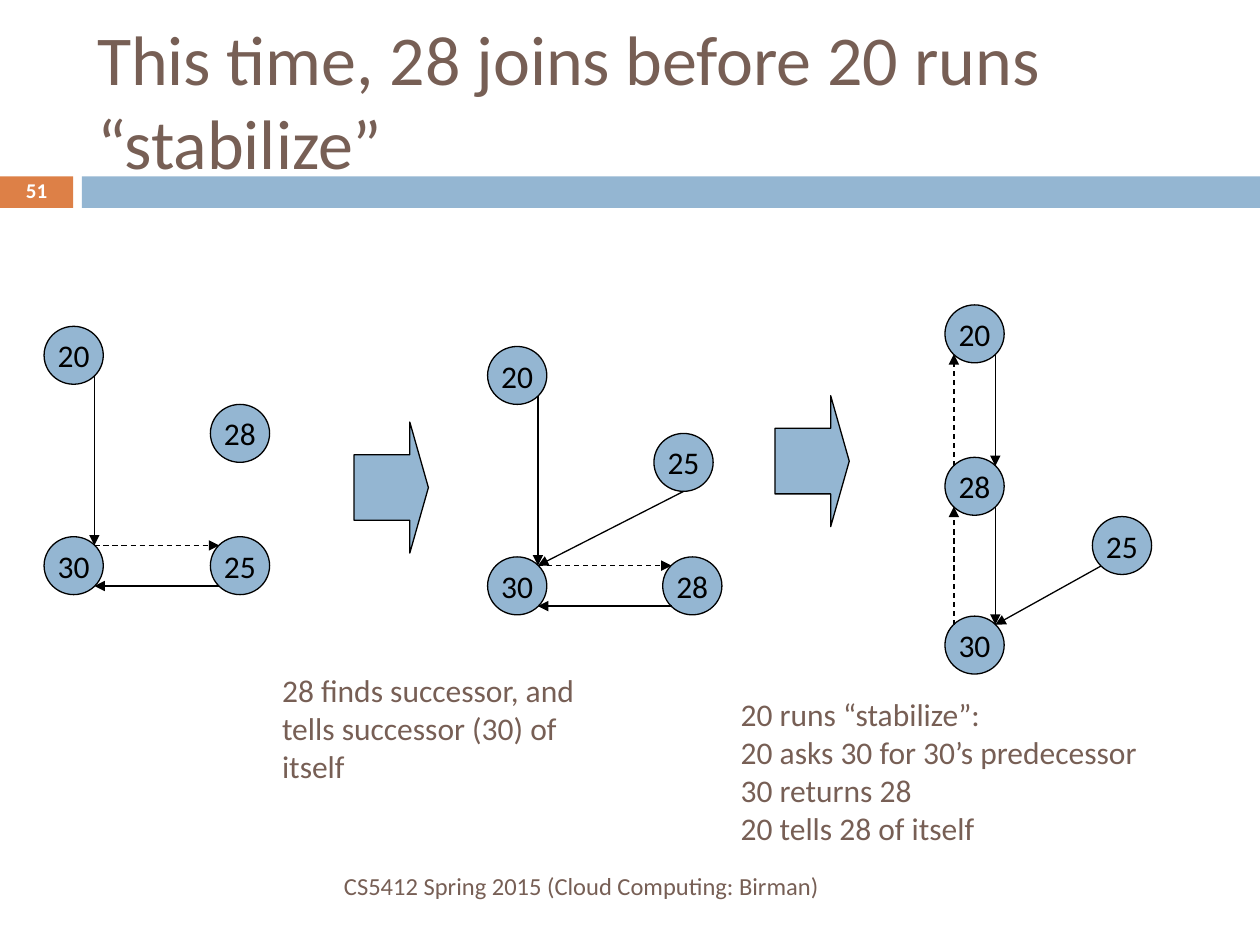
from lxml import etree
from pptx import Presentation
from pptx.dml.color import RGBColor
from pptx.enum.dml import MSO_LINE
from pptx.enum.shapes import MSO_CONNECTOR, MSO_SHAPE
from pptx.enum.text import MSO_ANCHOR, MSO_AUTO_SIZE, PP_ALIGN
from pptx.oxml.ns import qn
from pptx.util import Inches, Pt

RECT, OVAL, ARROW = MSO_SHAPE.RECTANGLE, MSO_SHAPE.OVAL, MSO_SHAPE.RIGHT_ARROW
LEFT, CENTER, RIGHT = PP_ALIGN.LEFT, PP_ALIGN.CENTER, PP_ALIGN.RIGHT
TOP, MIDDLE = MSO_ANCHOR.TOP, MSO_ANCHOR.MIDDLE
STRAIGHT, DASH, FIXED = MSO_CONNECTOR.STRAIGHT, MSO_LINE.DASH, MSO_AUTO_SIZE.NONE

FONT, BLUE, ORANGE = "Calibri", "94B6D2", "DD8047"
BROWN, BLACK, WHITE = "775F55", "000000", "FFFFFF"
NODE_W, NODE_H = 0.47, 0.46
SITES = {"NW": (0.15, 0.15), "NE": (0.85, 0.15), "SW": (0.15, 0.85),
         "SE": (0.85, 0.85), "S": (0.5, 1)}

TITLE = "This time, 28 joins before 20 runs “stabilize”"
BARS = [((0, 1.4, 0.58, 0.25), ORANGE), ((0.65, 1.4, 9.35, 0.25), BLUE)]
STEPS = [(2.81, 3.35, 0.59, 1.04), (6.15, 3.14, 0.59, 1.04)]
RINGS = [
    ({20: (0.35, 2.59), 30: (0.35, 4.26), 25: (1.67, 4.26), 28: (1.67, 3.21)},
     [(20, "SE", 30, "NE", False), (30, "NE", 25, "NW", True),
      (25, "SW", 30, "SE", False)]),
    ({20: (3.87, 2.75), 30: (3.87, 4.42), 25: (5.19, 3.44), 28: (5.26, 4.42)},
     [(20, "SE", 30, "NE", False), (30, "NE", 28, "NW", True),
      (28, "SW", 30, "SE", False), (25, "S", 30, "NE", False)]),
    ({20: (7.5, 2.42), 30: (7.5, 4.89), 28: (7.5, 3.63), 25: (8.67, 4.1)},
     [(20, "SE", 28, "NE", False), (30, "NW", 28, "SW", True),
      (28, "SE", 30, "NE", False), (28, "NW", 20, "SW", True),
      (25, "SW", 30, "NE", False)]),
]
NOTES = [
    ("28 finds successor, and tells successor (30) of itself",
     (2.14, 5.28, 2.81, 1), 18, BROWN, LEFT, TOP),
    ("20 runs “stabilize”:\n20 asks 30 for 30’s predecessor\n"
     "30 returns 28\n20 tells 28 of itself",
     (5.78, 5.47, 3.85, 1.3), 18, BROWN, LEFT, TOP),
    ("CS5412 Spring 2015 (Cloud Computing: Birman)",
     (0.67, 6.83, 5.93, 0.4), 14, BROWN, RIGHT, MIDDLE),
    ("51", (0, 1.39, 0.58, 0.27), 12, WHITE, CENTER, MIDDLE),
]


def paint(color, value):
    color.rgb = RGBColor.from_string(value)


def write(shape, text, size, color, align, anchor, wrap=True):
    frame = shape.text_frame
    frame.text = text
    frame.auto_size = FIXED
    frame.word_wrap = wrap
    frame.vertical_anchor = anchor
    for para in frame.paragraphs:
        para.alignment = align
        for run in para.runs:
            run.font.name = FONT
            run.font.size = Pt(size)
            paint(run.font.color, color)


def add_form(slide, kind, box, fill, line=None):
    form = slide.shapes.add_shape(kind, *map(Inches, box))
    form.shadow.inherit = False
    form.fill.solid()
    paint(form.fill.fore_color, fill)
    if line:
        paint(form.line.color, line)
        form.line.width = Pt(0.75)
    else:
        form.line.fill.background()
    return form


def site(spot, name):
    dx, dy = SITES[name]
    return Inches(spot[0] + dx * NODE_W), Inches(spot[1] + dy * NODE_H)


def add_link(slide, start, end, dashed):
    link = slide.shapes.add_connector(STRAIGHT, *start, *end)
    paint(link.line.color, BLACK)
    link.line.width = Pt(0.75)
    if dashed:
        link.line.dash_style = DASH
    props = link.line._get_or_add_ln()
    etree.SubElement(props, qn("a:tailEnd"), type="triangle")
    etree.SubElement(link._element.spPr, qn("a:effectLst"))


def add_ring(slide, nodes, links):
    for name, spot in nodes.items():
        node = add_form(slide, OVAL, (*spot, NODE_W, NODE_H), BLUE, BLACK)
        write(node, str(name), 18, BLACK, CENTER, MIDDLE, False)
    for first, out, last, into, dashed in links:
        add_link(slide, site(nodes[first], out), site(nodes[last], into), dashed)


def main():
    """Build the slide on a node joining a ring before stabilize runs."""
    deck = Presentation()
    deck.slide_width, deck.slide_height = Inches(10), Inches(7.5)
    slide = deck.slides.add_slide(deck.slide_layouts[5])
    for box, fill in BARS:
        add_form(slide, RECT, box, fill)
    title = slide.shapes.title
    title.left, title.top = Inches(0.67), Inches(0.25)
    title.width, title.height = Inches(8.92), Inches(1.08)
    write(title, TITLE, 40, BROWN, LEFT, MIDDLE)
    for nodes, links in RINGS:
        add_ring(slide, nodes, links)
    for box in STEPS:
        step = add_form(slide, ARROW, box, BLUE, BLACK)
        step.adjustments[1] = 0.25
    for text, box, *style in NOTES:
        note = slide.shapes.add_textbox(*map(Inches, box))
        write(note, text, *style)
    number = note.text_frame.paragraphs[0]
    number.line_spacing = 0.8
    number.runs[0].font.bold = True
    deck.save("out.pptx")


if __name__ == "__main__":
    main()
